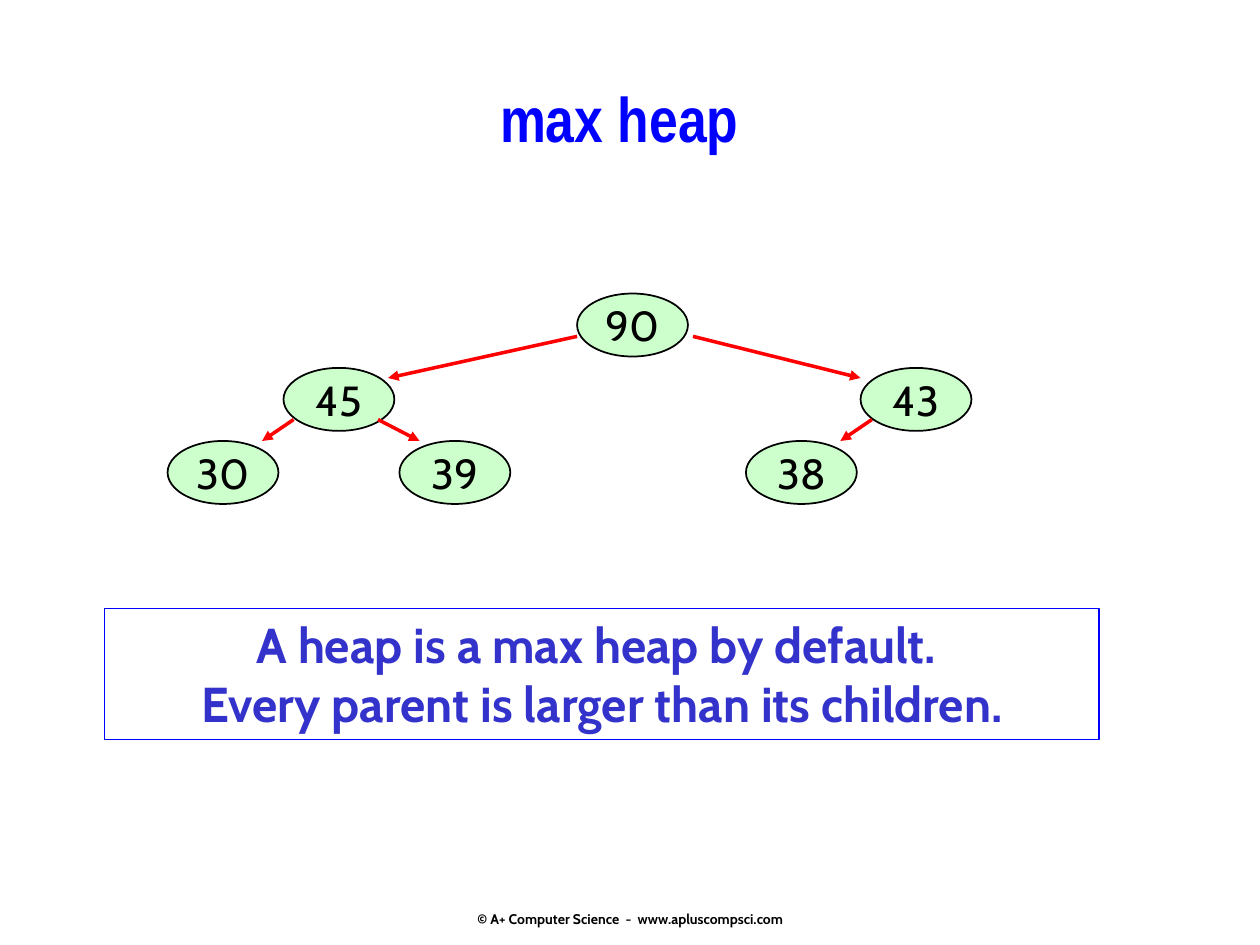
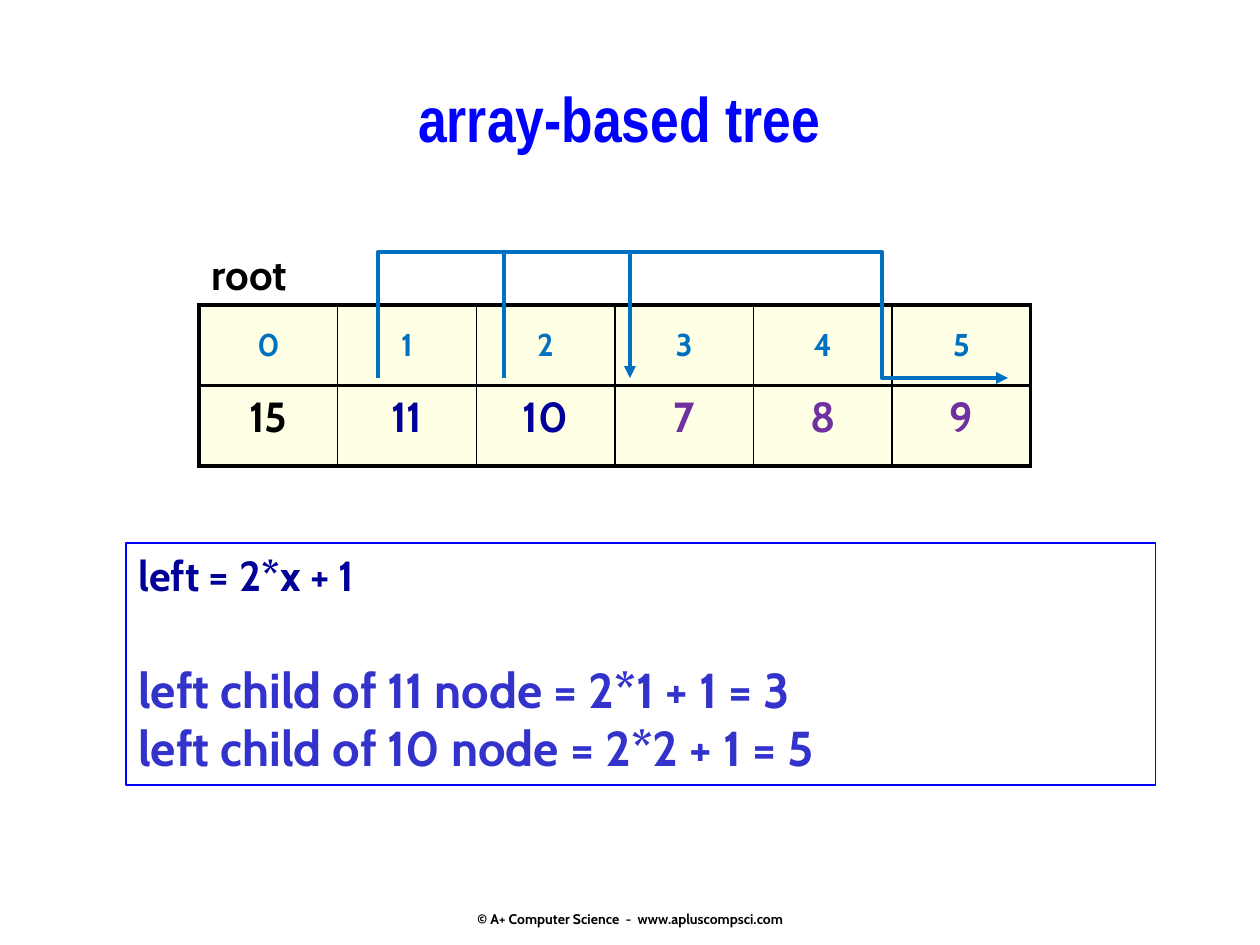
from pptx import Presentation
from pptx.dml.color import RGBColor
from pptx.enum.shapes import MSO_CONNECTOR as Connector, MSO_SHAPE as Shape
from pptx.enum.text import MSO_ANCHOR as Anchor, PP_ALIGN as Align
from pptx.oxml.ns import qn
from pptx.util import Inches, Pt
from lxml.etree import SubElement

# Shared look
BLUE, NAVY, INDIGO = "0000FF", "000099", "3333CC"
BLACK, RED, SKY, PURPLE = "000000", "FF0000", "0070C0", "7030A0"
MINT, CREAM = "CCFFCC", "FFFFCC"
BODY, HEADING = "Cabin", "Arial Narrow"
FOOTER = "© A+ Computer Science  -  www.apluscompsci.com"

# Max heap: (value, left, top) for nodes, (start, end) for branches
HEAP_TITLE = "max heap"
NODE_SIZE = (0.88, 0.5)
NODES = [
    ("45", 2.25, 2.92), ("30", 1.33, 3.5), ("39", 3.17, 3.5),
    ("43", 6.83, 2.92), ("38", 5.92, 3.5), ("90", 4.58, 2.33),
]
BRANCHES = [
    ((4.58, 2.67), (3.08, 3)), ((5.5, 2.67), (6.83, 3)),
    ((2.33, 3.33), (2.08, 3.5)), ((6.92, 3.33), (6.67, 3.5)),
    ((3, 3.33), (3.33, 3.5)),
]
HEAP_RULE = ["A heap is a max heap by default. ",
             "Every parent is larger than its children."]

# Array-based tree: (value, colour) for each index
ARRAY_TITLE = "array-based tree"
VALUES = [("15", BLACK), ("11", NAVY), ("10", NAVY),
          ("7", PURPLE), ("8", PURPLE), ("9", PURPLE)]
CELL_SIZE = (1.1, 0.64)
CHILD_ARCS = [
    [(3.32, 2.52), (3.42, 2.43), (3.6, 2.29), (4.08, 2.11),
     (4.61, 2.14), (5.18, 2.36), (5.38, 2.55)],
    [(4.36, 2.51), (4.52, 2.42), (4.78, 2.28), (5.51, 2.09),
     (6.33, 2.13), (7.2, 2.34), (7.5, 2.54)],
]
FORMULA = "left = 2*x + 1"
EXAMPLES = ["left child of 11 node = 2*1 + 1 = 3",
            "left child of 10 node = 2*2 + 1 = 5"]


def rgb(code):
    return RGBColor.from_string(code)


def write(frame, text, size=24, color=BLACK, font=BODY, bold=True,
          align=Align.CENTER, before=0, more=False):
    """Write a paragraph; more=True adds it after those already there."""
    paragraph = frame.add_paragraph() if more else frame.paragraphs[0]
    paragraph.alignment = align
    if before:
        paragraph.space_before = Pt(before)
    run = paragraph.add_run()
    run.text = text
    run.font.size, run.font.bold, run.font.name = Pt(size), bold, font
    run.font.color.rgb = rgb(color)


def text_area(slide, left, top, width, height, anchor=Anchor.TOP):
    frame = slide.shapes.add_textbox(*map(Inches, (left, top, width, height))).text_frame
    frame.word_wrap = True
    frame.vertical_anchor = anchor
    return frame


def outlined(slide, preset, place, line, weight=1, fill=None, anchor=Anchor.TOP):
    shape = slide.shapes.add_shape(preset, *map(Inches, place))
    shape.shadow.inherit = False
    if fill:
        shape.fill.solid()
        shape.fill.fore_color.rgb = rgb(fill)
    else:
        shape.fill.background()
    shape.line.color.rgb = rgb(line)
    shape.line.width = Pt(weight)
    shape.text_frame.vertical_anchor = anchor
    return shape.text_frame


def make_arrow(part, color, weight):
    part.line.color.rgb = rgb(color)
    part.line.width = Pt(weight)
    line = part.element.spPr.find(qn("a:ln"))
    SubElement(line, qn("a:tailEnd"), type="triangle")


def new_slide(deck, title):
    slide = deck.slides.add_slide(deck.slide_layouts[6])
    write(text_area(slide, 1.5, 0.58, 6.83, 0.92), title, size=36, color=BLUE, font=HEADING)
    return slide


def add_footer(slide):
    footer = text_area(slide, 3.42, 6.83, 3.17, 0.53, Anchor.BOTTOM)
    footer.margin_bottom = 0
    write(footer, FOOTER, size=8)


def curve_points(knots, steps=8):
    """Sample a Catmull-Rom curve that passes through the knots."""
    padded = [knots[0], *knots, knots[-1]]
    points = [knots[0]]
    for before, start, end, after in zip(padded, padded[1:], padded[2:], padded[3:]):
        for step in range(1, steps + 1):
            t = step / steps
            points.append(tuple(
                b + t * (c - a) / 2 + t**2 * (a - 2.5 * b + 2 * c - d / 2)
                + t**3 * (3 * b - a - 3 * c + d) / 2
                for a, b, c, d in zip(before, start, end, after)))
    return points


def border(cell, sides):
    properties = cell._tc.get_or_add_tcPr()
    for side in "LRTB":
        line = SubElement(properties, qn(f"a:ln{side}"), w=str(Pt(sides[side])))
        SubElement(SubElement(line, qn("a:solidFill")), qn("a:srgbClr"), val=BLACK)


def add_array(slide):
    width, height = CELL_SIZE
    count = len(VALUES)
    table = slide.shapes.add_table(
        2, count, *map(Inches, (1.58, 2.42, width * count, height * 2))).table
    table.first_row = table.horz_banding = False
    for column in table.columns:
        column.width = Inches(width)
    for row in table.rows:
        row.height = Inches(height)
    for index, (value, color) in enumerate(VALUES):
        sides = {"L": 1 if index else 2.25, "R": 1 if index < count - 1 else 2.25,
                 "T": 2.25, "B": 2.25}
        top, bottom = table.cell(0, index), table.cell(1, index)
        for cell in (top, bottom):
            border(cell, sides)
            cell.fill.solid()
            cell.fill.fore_color.rgb = rgb(CREAM)
            tint = cell._tc.tcPr.find(qn("a:solidFill")).find(qn("a:srgbClr"))
            SubElement(tint, qn("a:alpha"), val="50000")
        top.vertical_anchor = Anchor.MIDDLE
        write(top.text_frame, str(index), size=18, color=SKY)
        write(bottom.text_frame, value, color=color)


def heap_slide(deck):
    slide = new_slide(deck, HEAP_TITLE)
    rule = outlined(slide, Shape.RECTANGLE, (0.83, 4.83, 7.89, 1.04), BLUE)
    for number, sentence in enumerate(HEAP_RULE):
        write(rule, sentence, size=28, color=INDIGO, more=number > 0)
    for value, left, top in NODES:
        node = outlined(slide, Shape.OVAL, (left, top, *NODE_SIZE), BLACK,
                        fill=MINT, anchor=Anchor.MIDDLE)
        node.word_wrap = False
        write(node, value, bold=False)
    for start, end in BRANCHES:
        branch = slide.shapes.add_connector(Connector.STRAIGHT, *map(Inches, start + end))
        make_arrow(branch, RED, 2)
        SubElement(branch.element.spPr, qn("a:effectLst"))
    add_footer(slide)


def array_slide(deck):
    slide = new_slide(deck, ARRAY_TITLE)
    # Formula box
    formula = outlined(slide, Shape.RECTANGLE, (1, 4.31, 8.17, 1.92), BLUE, weight=0.75)
    write(formula, FORMULA, color=NAVY, align=Align.LEFT)
    for number, example in enumerate(EXAMPLES):
        write(formula, example, size=28, color=INDIGO, align=Align.LEFT,
              before=0 if number else 34, more=True)
    # Array with arcs from parents to left children
    write(text_area(slide, 1.58, 1.92, 1.58, 0.5), "root", align=Align.LEFT)
    add_array(slide)
    for knots in CHILD_ARCS:
        first, *rest = curve_points(knots)
        builder = slide.shapes.build_freeform(*first, scale=Inches(1))
        builder.add_line_segments(rest, close=False)
        arc = builder.convert_to_shape()
        arc.shadow.inherit = False
        arc.fill.background()
        make_arrow(arc, SKY, 2.25)
    add_footer(slide)


def main():
    deck = Presentation()
    deck.slide_width, deck.slide_height = Inches(10), Inches(7.5)
    heap_slide(deck)
    array_slide(deck)
    deck.save("out.pptx")


if __name__ == "__main__":
    main()
